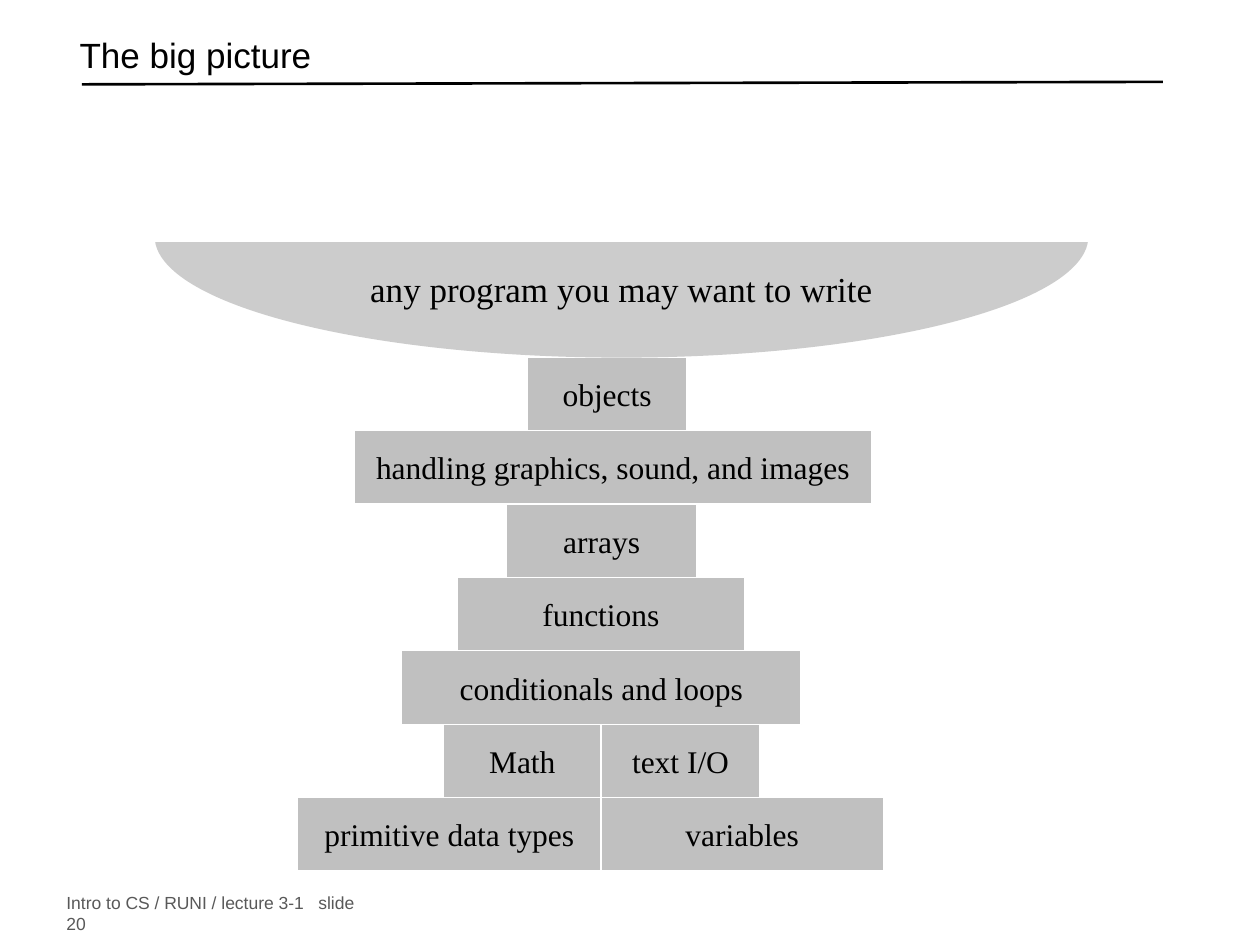
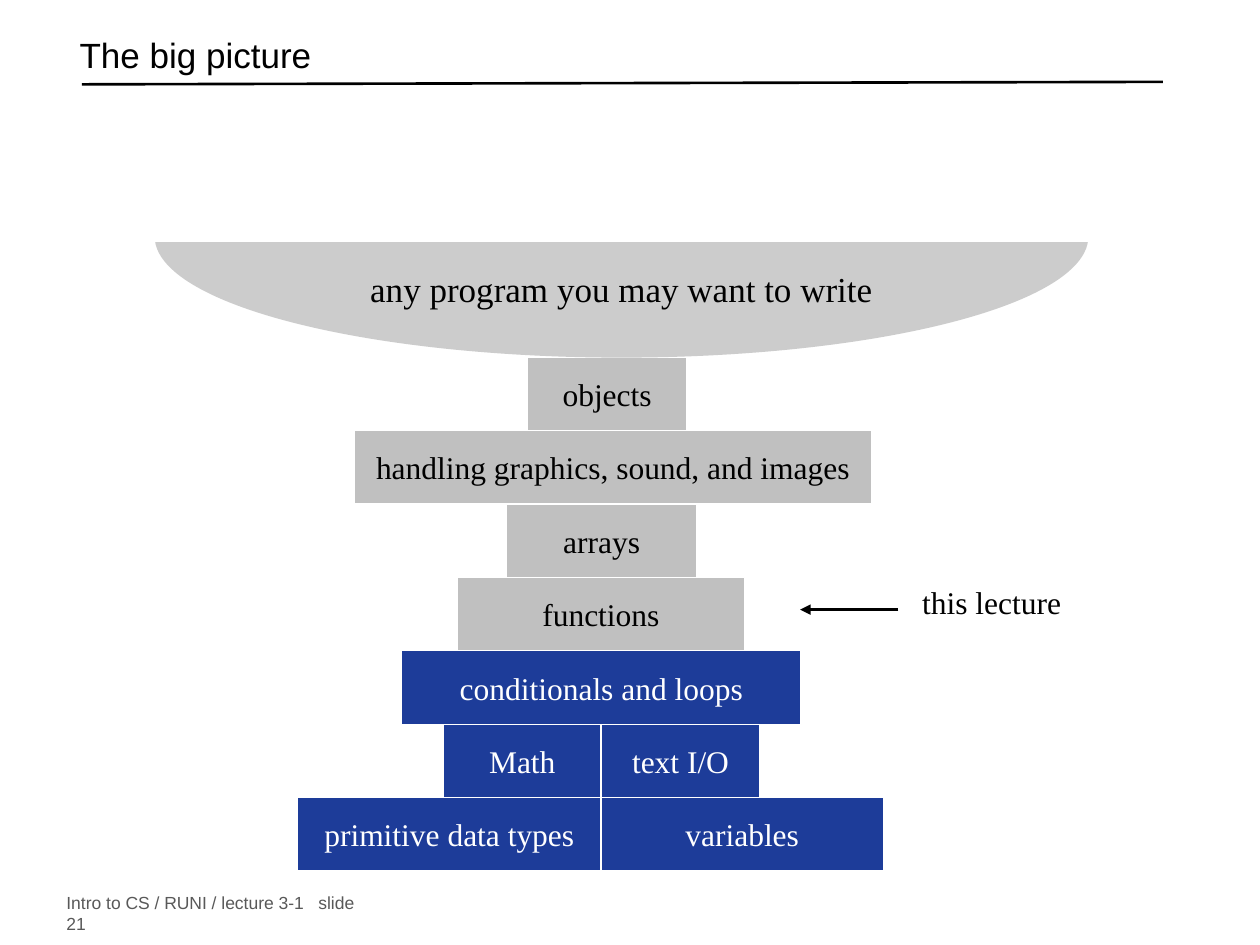
from dataclasses import dataclass

from lxml.etree import SubElement
from pptx import Presentation
from pptx.dml.color import RGBColor
from pptx.enum.shapes import MSO_CONNECTOR, MSO_SHAPE
from pptx.enum.text import MSO_ANCHOR, MSO_AUTO_SIZE, PP_ALIGN
from pptx.oxml.ns import qn
from pptx.util import Cm, Pt


@dataclass(frozen=True)
class Theme:
    black: RGBColor = RGBColor(0, 0, 0)
    white: RGBColor = RGBColor(255, 255, 255)
    gray: RGBColor = RGBColor(0xC0, 0xC0, 0xC0)
    blue: RGBColor = RGBColor(0x1D, 0x3C, 0x99)
    muted: RGBColor = RGBColor(0x59, 0x59, 0x59)
    sans: str = "Arial"
    serif: str = "Times New Roman"
    large: Pt = Pt(20)
    body: Pt = Pt(18)
    small: Pt = Pt(10)


theme = Theme()


def write(shape, text, size, color, face=theme.serif, align=PP_ALIGN.CENTER):
    """Fill a shape with one evenly formatted paragraph."""
    frame = shape.text_frame
    frame.word_wrap = True
    frame.auto_size = MSO_AUTO_SIZE.NONE
    frame.vertical_anchor = MSO_ANCHOR.MIDDLE
    frame.text = text
    par = frame.paragraphs[0]
    par.alignment = align
    par.font.size = size
    par.font.name = face
    par.font.color.rgb = color
    return par


def rule(slide, x1, y1, x2, y2, width):
    """Draw a black line without a shadow."""
    line = slide.shapes.add_connector(
        MSO_CONNECTOR.STRAIGHT, Cm(x1), Cm(y1), Cm(x2), Cm(y2))
    line.line.color.rgb = theme.black
    line.line.width = Pt(width)
    SubElement(line.element.spPr, qn("a:effectLst"))
    return line


# Tower rows from the top: each block is label, left and width in cm
rows = [
    [("objects", 10.64, 3.2)],
    [("handling graphics, sound, and images", 7.14, 10.44)],
    [("arrays", 10.21, 3.84)],
    [("functions", 9.22, 5.79)],
    [("conditionals and loops", 8.1, 8.05)],
    [("Math", 8.94, 3.18), ("text I/O", 12.12, 3.2)],
    [("primitive data types", 6, 6.12), ("variables", 12.12, 5.69)],
]
top, step = 7.2, 1.48

# Slide number and first row already covered
pages = [(20, len(rows)), (21, 4)]

deck = Presentation()
deck.slide_width, deck.slide_height = Cm(25.4), Cm(19.05)

for number, done in pages:
    slide = deck.slides.add_slide(deck.slide_layouts[5])
    shapes = slide.shapes

    # Title and rule
    title = shapes.title
    title.left, title.top = Cm(1.35), Cm(0.56)
    title.width, title.height = Cm(21.84), Cm(1.27)
    par = write(title, "The big picture", theme.large, theme.black,
                theme.sans, PP_ALIGN.LEFT)
    par.line_spacing = 0.7
    rule(slide, 1.65, 1.7, 23.44, 1.65, 1.5)

    # Footer
    foot = shapes.add_textbox(Cm(1.09), Cm(18.14), Cm(22.12), Cm(0.53))
    par = foot.text_frame.paragraphs[0]
    tabs = SubElement(par._p.get_or_add_pPr(), qn("a:tabLst"))
    SubElement(tabs, qn("a:tab"), pos=str(Cm(20.47)), algn="l")
    write(foot, f"Intro to CS / RUNI / lecture 3-1\tslide\v{number}",
          theme.small, theme.muted, theme.sans, PP_ALIGN.LEFT)

    # Tower of topics
    for index, row in enumerate(rows):
        known = index >= done
        for label, left, width in row:
            block = shapes.add_shape(
                MSO_SHAPE.RECTANGLE, Cm(left), Cm(top + index * step),
                Cm(width), Cm(step))
            block.shadow.inherit = False
            block.fill.solid()
            block.fill.fore_color.rgb = theme.blue if known else theme.gray
            block.line.color.rgb = theme.white
            block.line.width = Pt(0.75)
            write(block, label, theme.body,
                  theme.white if known else theme.black)

    # Bowl: a translucent ellipse with its upper half covered
    bowl = shapes.add_shape(
        MSO_SHAPE.OVAL, Cm(3.12), Cm(2.34), Cm(18.82), Cm(4.87))
    cover = shapes.add_shape(
        MSO_SHAPE.RECTANGLE, Cm(0.43), Cm(2.34), Cm(24.56), Cm(2.54))
    for part, color in ((bowl, theme.gray), (cover, theme.white)):
        part.shadow.inherit = False
        part.fill.solid()
        part.fill.fore_color.rgb = color
        part.line.fill.background()
    shade = bowl.element.spPr.find(qn("a:solidFill"))[0]
    SubElement(shade, qn("a:alpha"), val="80000")
    write(bowl, "any program you may want to write", theme.large, theme.black)
    bowl.text_frame.margin_top = Cm(2.21)

    # Pointer to the current topic
    if done < len(rows):
        note = shapes.add_textbox(Cm(18.34), Cm(11.63), Cm(4.55), Cm(1.02))
        write(note, "this lecture", theme.body, theme.black,
              align=PP_ALIGN.LEFT)
        arrow = rule(slide, 18.11, 12.29, 16.13, 12.29, 1.75)
        SubElement(arrow.line._get_or_add_ln(), qn("a:tailEnd"),
                   type="triangle")

deck.save("out.pptx")
